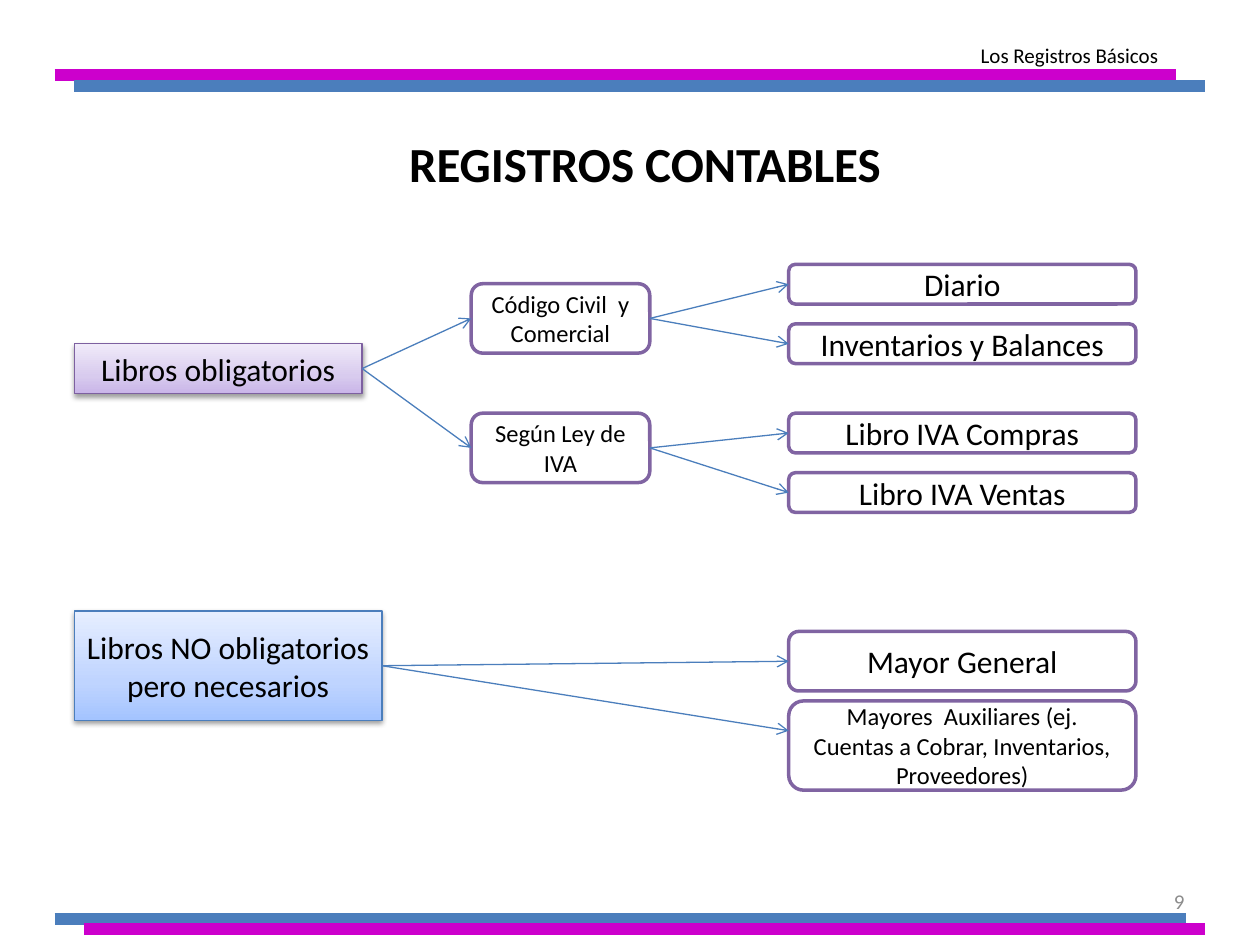
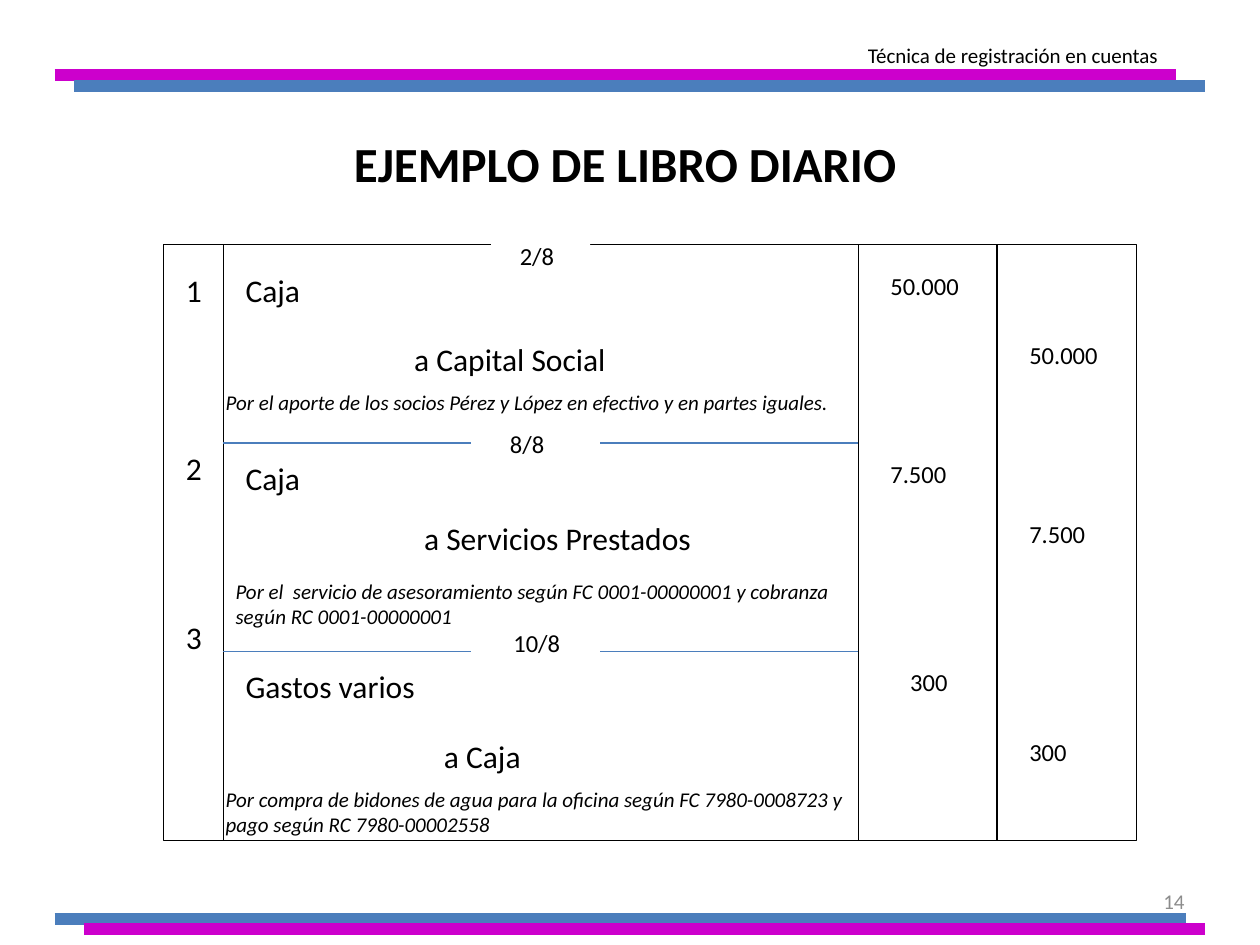
"""Builds two accounting slides: a diagram of the books and a journal example."""
from pptx import Presentation
from pptx import util as u
from pptx.dml import color
from pptx.enum import shapes, text
from pptx.oxml import ns
from lxml import etree

COLORS = {
    "ink": "000000", "paper": "FFFFFF", "magenta": "CC00CC", "blue": "4B7EBC",
    "purple": "8064A2", "plum": "7D60A0", "gray": "8C8C8C",
}
LILAC = [(0, "C9B5E8"), (35, "D8CBEE"), (100, "F0EAF9")]
SKY = [(0, "A4C4FF"), (35, "BFD4FF"), (100, "E6EEFF")]
LEFT, CENTER, RIGHT = (text.PP_ALIGN.LEFT, text.PP_ALIGN.CENTER, text.PP_ALIGN.RIGHT)
TOP, MIDDLE = text.MSO_ANCHOR.TOP, text.MSO_ANCHOR.MIDDLE


def rgb(name):
    return color.RGBColor.from_string(COLORS[name])


def add(parent, tag, **attrs):
    return etree.SubElement(parent, ns.qn(tag), {k: str(v) for k, v in attrs.items()})


class Deck:
    def __init__(self, font="Calibri"):
        self.font = font
        self.prs = Presentation()
        self.prs.slide_width, self.prs.slide_height = u.Cm(25.4), u.Cm(19.05)
        self.s = None

    def slide(self, topic, title, title_x, number):
        self.s = self.prs.slides.add_slide(self.prs.slide_layouts[6])
        self.label(18.2, 17.65, 5.93, 1.02, str(number), 12, RIGHT, MIDDLE, ink="gray")
        for x1, x2, y, ink in ((1.1, 23.7, 1.52, "magenta"), (1.5, 24.3, 1.73, "blue"),
                               (1.1, 23.9, 18.52, "blue"), (1.7, 24.3, 18.72, "magenta")):
            self.line(x1, y, x2, y, ink, 6.75)
        self.label(title_x, 2.13, 21.8, 2.33, title, 28, CENTER, MIDDLE, bold=True)
        self.label(10.9, 0.74, 12.7, 0.77, topic, 12, RIGHT)

    def put_text(self, sp, words, size, align=LEFT, anchor=TOP, ink="ink",
                 bold=False, italic=False, inset=0.25):
        tf = sp.text_frame
        tf.word_wrap = True
        tf.vertical_anchor = anchor
        tf.margin_left = u.Cm(inset)
        p = tf.paragraphs[0]
        p.alignment = align
        r = p.add_run()
        r.text = words
        r.font.name, r.font.size = self.font, u.Pt(size)
        r.font.bold, r.font.italic = bold, italic
        r.font.color.rgb = rgb(ink)

    def label(self, x, y, w, h, words, size, *args, **style):
        sp = self.s.shapes.add_textbox(u.Cm(x), u.Cm(y), u.Cm(w), u.Cm(h))
        self.put_text(sp, words, size, *args, **style)
        return sp

    def line(self, x1, y1, x2, y2, ink="blue", width=0.75):
        return self.connect(u.Cm(x1), u.Cm(y1), u.Cm(x2), u.Cm(y2), ink, width)

    def connect(self, x1, y1, x2, y2, ink="blue", width=0.75):
        sp = self.s.shapes.add_connector(shapes.MSO_CONNECTOR.STRAIGHT, x1, y1, x2, y2)
        sp.line.color.rgb = rgb(ink)
        sp.line.width = u.Pt(width)
        add(sp._element.spPr, "a:effectLst")
        return sp

    def arrow(self, a, b, rise=0):
        sp = self.connect(a.left + a.width, a.top + a.height // 2,
                          b.left, b.top + b.height // 2 - u.Cm(rise))
        add(sp._element.spPr.find(ns.qn("a:ln")), "a:tailEnd", type="arrow")

    def box(self, x, y, w, h, line=None, width=2, rounded=False):
        kind = shapes.MSO_SHAPE.ROUNDED_RECTANGLE if rounded else shapes.MSO_SHAPE.RECTANGLE
        sp = self.s.shapes.add_shape(kind, u.Cm(x), u.Cm(y), u.Cm(w), u.Cm(h))
        sp.shadow.inherit = False
        sp.fill.solid()
        sp.fill.fore_color.rgb = rgb("paper")
        if line:
            sp.line.color.rgb = rgb(line)
            sp.line.width = u.Pt(width)
        else:
            sp.line.fill.background()
        return sp

    def node(self, x, y, w, h, words, size=18):
        sp = self.box(x, y, w, h, "purple", rounded=True)
        self.put_text(sp, words, size, CENTER, MIDDLE)
        return sp

    def root(self, x, y, w, h, words, stops, line):
        sp = self.box(x, y, w, h, line, 0.75)
        sp.fill.gradient()
        sp.fill.gradient_angle = 90
        spPr = sp._element.spPr
        gsLst = spPr.find(".//" + ns.qn("a:gsLst"))
        for gs in list(gsLst):
            gsLst.remove(gs)
        for pos, tint in stops:
            add(add(gsLst, "a:gs", pos=pos * 1000), "a:srgbClr", val=tint)
        shadow = add(spPr.find(ns.qn("a:effectLst")), "a:outerShdw", blurRad=u.Pt(3.1),
                     dist=u.Pt(1.6), dir=5400000, rotWithShape=0)
        add(add(shadow, "a:srgbClr", val=COLORS["ink"]), "a:alpha", val=38000)
        self.put_text(sp, words, 18, CENTER, MIDDLE)
        return sp


def books(d):
    d.slide("Los Registros Básicos", "REGISTROS CONTABLES", 2.1, 9)
    required = d.root(1.5, 6.93, 5.8, 1, "Libros obligatorios", LILAC, "plum")
    for y, first, law, leaves in (
            (5.72, 5.33, "Código Civil  y Comercial", ("Diario", "Inventarios y Balances")),
            (8.33, 8.33, "Según Ley de IVA", ("Libro IVA Compras", "Libro IVA Ventas"))):
        branch = d.node(9.5, y, 3.6, 1.4, law, 14)
        d.arrow(required, branch)
        for i, words in enumerate(leaves):
            d.arrow(branch, d.node(15.9, first + 1.2 * i, 7, 0.8, words))
    optional = d.root(1.5, 12.32, 6.2, 2.2, "Libros NO obligatorios pero necesarios",
                      SKY, "blue")
    d.arrow(optional, d.node(15.9, 12.73, 7, 1.2, "Mayor General"))
    d.arrow(optional, d.node(
        15.9, 14.13, 7, 1.8,
        "Mayores  Auxiliares (ej. Cuentas a Cobrar, Inventarios, Proveedores)", 14), rise=0.3)


def journal(d):
    d.slide("Técnica de registración en cuentas", "EJEMPLO DE LIBRO DIARIO", 1.7, 14)
    d.box(3.3, 4.93, 19.6, 12, "ink", 0.25)
    for x in (4.5, 17.3, 20.1):
        d.line(x, 4.93, x, 16.93, "ink")
    for y in (8.93, 13.13):
        d.line(4.5, y, 9.5, y)
        d.line(12.1, y, 17.3, y)
    d.put_text(d.box(9.9, 4.73, 2, 0.86), "2/8", 14, inset=0.58)
    d.label(9.7, 8.53, 2, 0.86, "8/8", 14, inset=0.58)
    d.label(10.1, 12.53, 2, 0.86, "10/8", 14)
    for i, y in enumerate((5.33, 8.93, 12.33), 1):
        d.label(3.5, y, 0.8, 1.02, str(i), 18)
    entries = (
        (5.33, "Caja", 17.7, "50.000", 8.1, 6.73, "a Capital Social", 4.3, 7.73,
         "Por el aporte de los socios Pérez y López en efectivo y en partes iguales."),
        (9.13, "Caja", 17.7, "7.500", 8.3, 10.33, "a Servicios Prestados", 4.5, 11.53,
         "Por el  servicio de asesoramiento según FC 0001-00000001 y cobranza "
         "según RC 0001-00000001"),
        (13.33, "Gastos varios", 18.1, "300", 8.7, 14.73, "a Caja", 4.3, 15.73,
         "Por compra de bidones de agua para la oficina según FC 7980-0008723 y "
         "pago según RC 7980-00002558"),
    )
    for debit_y, debit, sum_x, amount, credit_x, credit_y, credit, note_x, note_y, note in entries:
        d.label(4.7, debit_y, 4.8, 1.02, debit, 18)
        d.label(sum_x, debit_y, 2, 0.86, amount, 14)
        d.label(credit_x, credit_y, 7.8, 1.02, credit, 18)
        d.label(20.5, credit_y, 2, 0.86, amount, 14)
        d.label(note_x, note_y, 13, 1.27, note, 12, italic=True)


def main():
    d = Deck()
    books(d)
    journal(d)
    d.prs.save("out.pptx")


if __name__ == "__main__":
    main()
